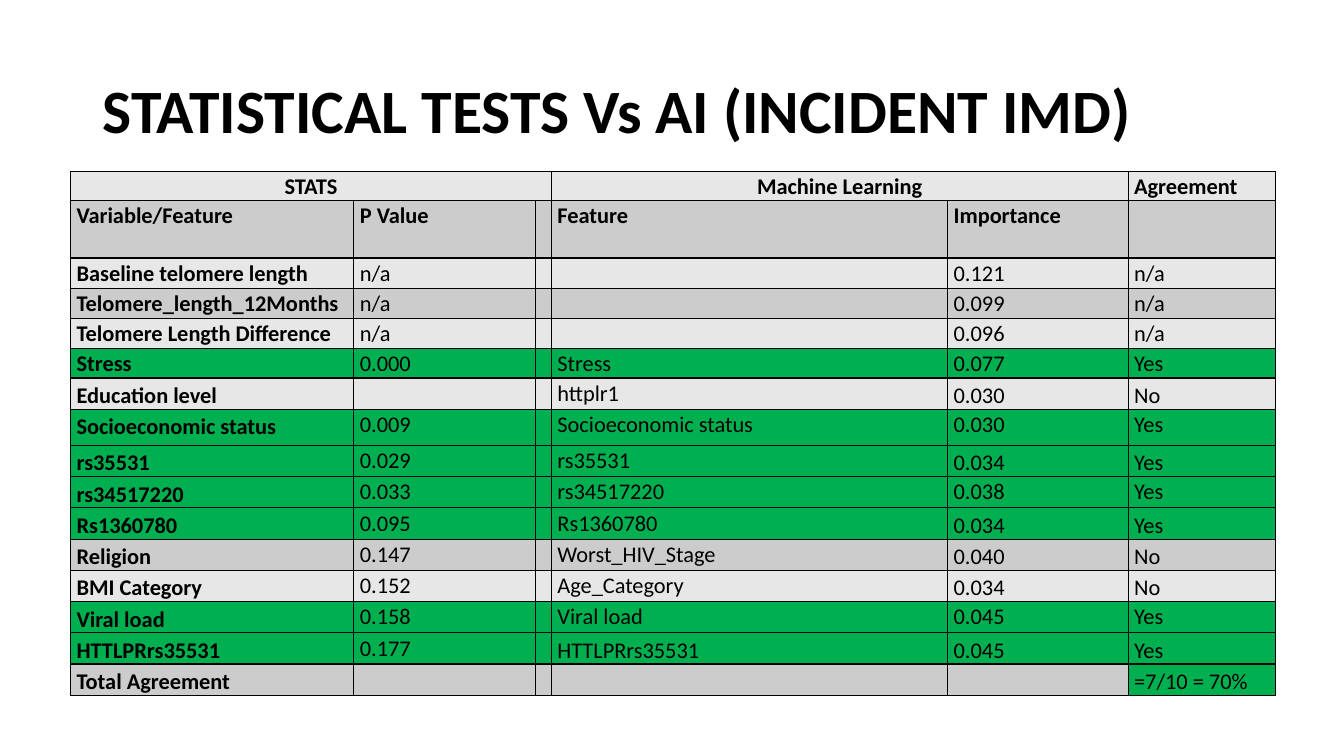
from lxml import etree
from pptx import Presentation
from pptx.dml.color import RGBColor
from pptx.enum.text import MSO_ANCHOR, PP_ALIGN
from pptx.oxml.ns import qn
from pptx.util import Inches, Pt

MIDDLE = MSO_ANCHOR.MIDDLE
LEFT, CENTER = PP_ALIGN.LEFT, PP_ALIGN.CENTER
COLORS = {"black": "000000", "light": "E7E7E7", "dark": "CCCCCC", "agreed": "00B050"}
FONT = "Calibri"
TIGHT, LOOSE = 1.07, 1.15
COLUMN_WIDTHS = [2.81, 1.8, 0.15, 3.93, 1.79, 1.46]
ROW_HEIGHTS = [0.29, 0.57] + [0.3] * 3 + [0.29, 0.31, 0.36] + [0.31] * 8
HEADER_ROWS = 2
FIRST_LOOSE_NAME = 6
LOOSE_RESULT_ROWS = {6, 8, 10, 11, 12, 14, 15}
ROWS = [
    ["STATS", "", "", "Machine Learning", "", "Agreement"],
    ["Variable/Feature", "P Value", "", "Feature", "Importance", ""],
    ["Baseline telomere length", "n/a", "", "", "0.121", "n/a"],
    ["Telomere_length_12Months", "n/a", "", "", "0.099", "n/a"],
    ["Telomere Length Difference", "n/a", "", "", "0.096", "n/a"],
    ["Stress", "0.000", "", "Stress", "0.077", "Yes"],
    ["Education level", "", "", "httplr1", "0.030", "No"],
    ["Socioeconomic status", "0.009", "", "Socioeconomic status", "0.030", "Yes"],
    ["rs35531", "0.029", "", "rs35531", "0.034", "Yes"],
    ["rs34517220", "0.033", "", "rs34517220", "0.038", "Yes"],
    ["Rs1360780", "0.095", "", "Rs1360780", "0.034", "Yes"],
    ["Religion", "0.147", "", "Worst_HIV_Stage", "0.040", "No"],
    ["BMI Category", "0.152", "", "Age_Category", "0.034", "No"],
    ["Viral load", "0.158", "", "Viral load", "0.045", "Yes"],
    ["HTTLPRrs35531", "0.177", "", "HTTLPRrs35531", "0.045", "Yes"],
    ["Total Agreement", "", "", "", "", "=7/10 = 70%"],
]


def write_text(frame, text, size=16, bold=False, align=LEFT, spacing=TIGHT):
    """Write one formatted paragraph into a text frame."""
    para = frame.paragraphs[0]
    para.alignment = align
    para.line_spacing = spacing
    if not text:
        para._p.get_or_add_endParaRPr().set("sz", str(size * 100))
        return
    span = para.add_run()
    span.text = text
    span.font.name = FONT
    span.font.size = Pt(size)
    span.font.bold = bold
    span.font.color.rgb = RGBColor.from_string(COLORS["black"])


def add_borders(cell, width=1):
    """Draw a solid line on all four sides of a cell."""
    properties = cell._tc.get_or_add_tcPr()
    for side in ("a:lnL", "a:lnR", "a:lnT", "a:lnB"):
        line = etree.SubElement(properties, qn(side), w=str(Pt(width)))
        fill = etree.SubElement(line, qn("a:solidFill"))
        etree.SubElement(fill, qn("a:srgbClr"), val=COLORS["black"])


def cell_color(row, column):
    """Return green for agreement, or else the banding colour."""
    agreement = ROWS[row][-1]
    if agreement == "Yes" or (column == 5 and agreement.startswith("=")):
        return COLORS["agreed"]
    return COLORS["dark" if row % 2 else "light"]


def cell_spacing(row, column):
    """Return the line spacing of a cell."""
    if column == 0:
        loose = row >= FIRST_LOOSE_NAME
    elif column == 3:
        loose = row == 14
    else:
        loose = column > 3 and row in LOOSE_RESULT_ROWS
    return LOOSE if loose else TIGHT


def add_title(page, left, top, width, height):
    """Place the slide title in the given box."""
    box = page.shapes.add_textbox(Inches(left), Inches(top), Inches(width), Inches(height))
    frame = box.text_frame
    frame.word_wrap = True
    frame.vertical_anchor = MIDDLE
    write_text(frame, "STATISTICAL TESTS Vs AI (INCIDENT IMD)", size=44, bold=True, spacing=0.9)


def add_comparison(page, left, top):
    """Place the table of test results against model importance."""
    table = page.shapes.add_table(
        len(ROWS), len(COLUMN_WIDTHS), Inches(left), Inches(top),
        Inches(sum(COLUMN_WIDTHS)), Inches(sum(ROW_HEIGHTS))).table
    table.first_row = table.horz_banding = False
    for column, width in zip(table.columns, COLUMN_WIDTHS):
        column.width = Inches(width)
    for row, height in zip(table.rows, ROW_HEIGHTS):
        row.height = Inches(height)
    for r, values in enumerate(ROWS):
        for c, text in enumerate(values):
            cell = table.cell(r, c)
            cell.margin_left = cell.margin_right = Inches(0.06)
            cell.margin_top = cell.margin_bottom = 0
            add_borders(cell)
            cell.fill.solid()
            cell.fill.fore_color.rgb = RGBColor.from_string(cell_color(r, c))
            write_text(cell.text_frame, text, bold=c == 0 or r < HEADER_ROWS,
                       align=CENTER if r == 0 and c < 5 else LEFT,
                       spacing=cell_spacing(r, c))
    for first, last in ((0, 2), (3, 4)):
        table.cell(0, first).merge(table.cell(0, last))


def main():
    """Build the deck and save it."""
    deck = Presentation()
    deck.slide_width, deck.slide_height = Inches(13.33), Inches(7.5)
    page = deck.slides.add_slide(deck.slide_layouts[6])
    add_title(page, 0.92, 0.4, 11.5, 1.45)
    add_comparison(page, 0.7, 1.7)
    deck.save("out.pptx")


if __name__ == "__main__":
    main()
